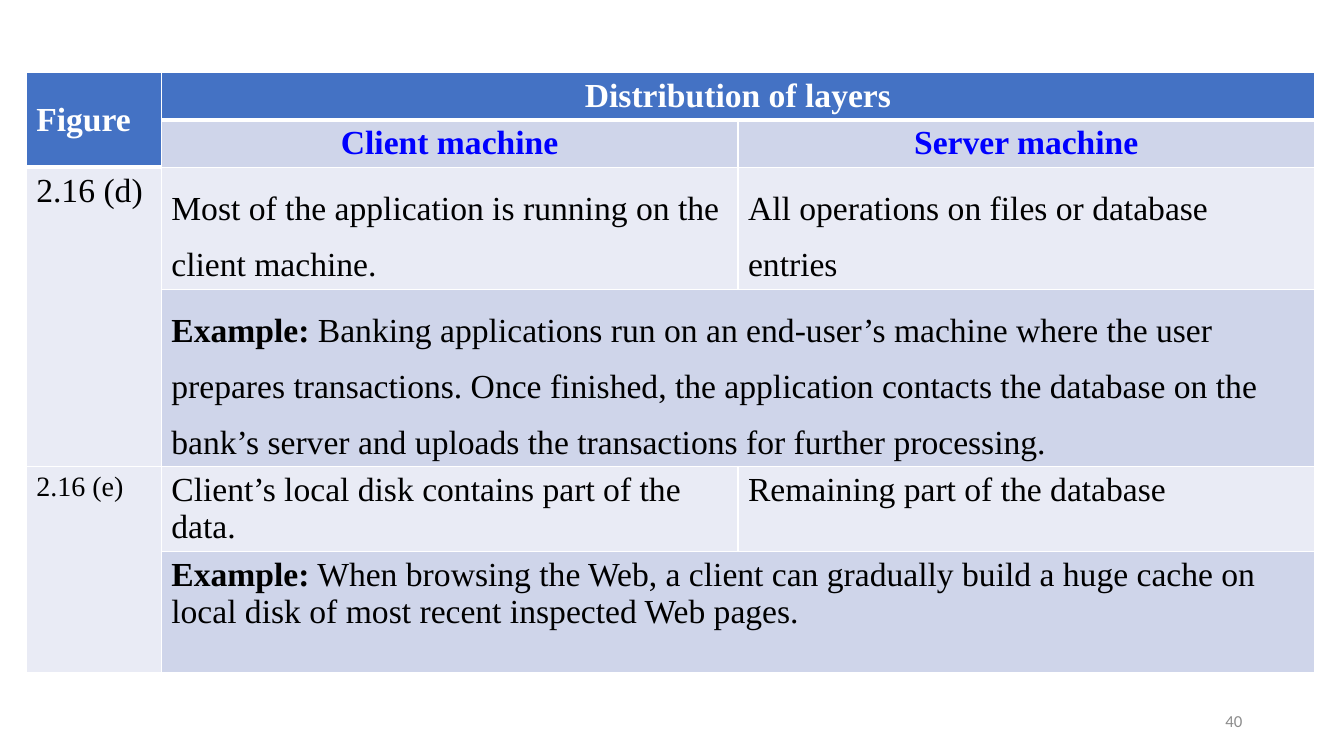
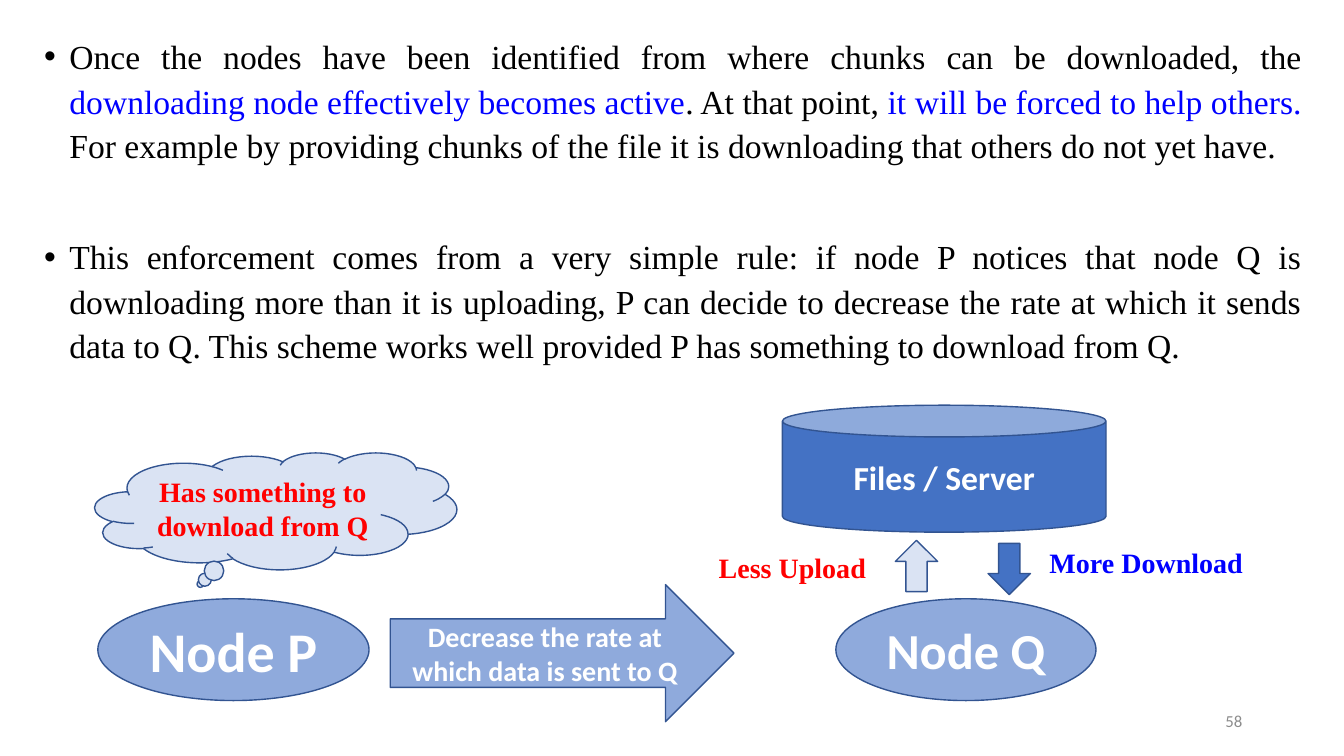
import pptx
import pptx.dml.color
import pptx.enum.shapes
import pptx.enum.text
import pptx.oxml
import pptx.oxml.ns
import pptx.util
from lxml import etree

Inches = pptx.util.Inches
Pt = pptx.util.Pt
RGBColor = pptx.dml.color.RGBColor
SHAPE = pptx.enum.shapes.MSO_SHAPE
ALIGN = pptx.enum.text.PP_ALIGN
ANCHOR = pptx.enum.text.MSO_ANCHOR

WHITE = RGBColor(0xFF, 0xFF, 0xFF)
BLACK = RGBColor(0x00, 0x00, 0x00)
RED = RGBColor(0xFF, 0x00, 0x00)
BLUE = RGBColor(0x00, 0x00, 0xFF)
GRAY = RGBColor(0x8C, 0x8C, 0x8C)
ACCENT = RGBColor(0x44, 0x72, 0xC4)
ACCENT_MID = RGBColor(0x8F, 0xAA, 0xDC)
ACCENT_PALE = RGBColor(0xDA, 0xE3, 0xF3)
OUTLINE = RGBColor(0x32, 0x54, 0x91)
BAND_DARK = RGBColor(0xCF, 0xD5, 0xEA)
BAND_LIGHT = RGBColor(0xE9, 0xEB, 0xF5)

SERIF = {"name": "Times New Roman", "size": Pt(24), "bold": False}
SERIF_BOLD = {**SERIF, "bold": True}
LABEL = {**SERIF_BOLD, "size": Pt(20)}
SANS_BOLD = {"name": "Calibri", "size": Pt(24), "bold": True}
FOOTER = {"name": "Calibri", "size": Pt(12), "bold": False}


def apply_format(target, values):
    for name, value in values.items():
        setattr(target, name, value)


def write_spans(para, spans, layout):
    apply_format(para, layout)
    for text, style, color in spans:
        span = para.add_run()
        span.text = text
        apply_format(span.font, style)
        span.font.color.rgb = color


def add_text(page, box, spans, align=ALIGN.LEFT, anchor=ANCHOR.TOP):
    frame = page.shapes.add_textbox(*map(Inches, box)).text_frame
    apply_format(frame, {"word_wrap": True, "vertical_anchor": anchor})
    write_spans(frame.paragraphs[0], spans, {"alignment": align})
    return frame


def add_page_number(page, number):
    add_text(page, (9.42, 6.95, 3, 0.4), [(str(number), FOOTER, GRAY)],
             ALIGN.RIGHT, ANCHOR.MIDDLE)


def add_node(page, kind, box, fill, spans=()):
    shape = page.shapes.add_shape(kind, *map(Inches, box))
    shape.shadow.inherit = False
    shape.fill.solid()
    shape.fill.fore_color.rgb = fill
    shape.line.color.rgb = OUTLINE
    shape.line.width = Pt(1)
    apply_format(shape.text_frame,
                 {"word_wrap": True, "vertical_anchor": ANCHOR.MIDDLE})
    write_spans(shape.text_frame.paragraphs[0], spans, {"alignment": ALIGN.CENTER})


def set_borders(cell, widths):
    properties = cell._tc.get_or_add_tcPr()
    for index, (side, width) in enumerate(widths.items()):
        line = pptx.oxml.parse_xml(
            f'<a:ln{side} xmlns:a="http://schemas.openxmlformats.org/drawingml/2006/main"'
            f' w="{Pt(width)}"><a:solidFill><a:srgbClr val="{WHITE}"/></a:solidFill></a:ln{side}>')
        properties.insert(index, line)


def add_layer_table(page, left, top):
    widths = [1.34, 5.72, 5.72]
    heights = [0.47, 0.47, 1.21, 1.75, 0.84, 1.2]
    centered = {"alignment": ALIGN.CENTER}
    spaced = {"line_spacing": 1.5}
    contents = {
        (0, 0): ([("Figure", SERIF_BOLD, WHITE)], {}),
        (0, 1): ([("Distribution of layers", SERIF_BOLD, WHITE)], centered),
        (1, 1): ([("Client machine", SERIF_BOLD, BLUE)], centered),
        (1, 2): ([("Server machine", SERIF_BOLD, BLUE)], centered),
        (2, 0): ([("2.16 (d)", SERIF, BLACK)], {}),
        (2, 1): ([("Most of the application is running on the client machine.",
                   SERIF, BLACK)], spaced),
        (2, 2): ([("All operations on files or database entries", SERIF, BLACK)], spaced),
        (3, 1): ([("Example:", SERIF_BOLD, BLACK),
                  (" Banking applications run on an end-user’s machine where the user "
                   "prepares transactions. Once finished, the application contacts the "
                   "database on the bank’s server and uploads the transactions for "
                   "further processing.", SERIF, BLACK)], spaced),
        (4, 0): ([("2.16 (e)", {**SERIF, "size": Pt(20)}, BLACK)], {}),
        (4, 1): ([("Client’s local disk contains part of the data.", SERIF, BLACK)], {}),
        (4, 2): ([("Remaining part of the database", SERIF, BLACK)], {}),
        (5, 1): ([("Example:", SERIF_BOLD, BLACK),
                  (" When browsing the Web, a client can gradually build a huge cache "
                   "on local disk of most recent inspected Web pages.", SERIF, BLACK)], {}),
    }
    header = {(0, 0), (0, 1), (0, 2), (1, 0)}
    table = page.shapes.add_table(
        len(heights), len(widths),
        *map(Inches, (left, top, sum(widths), sum(heights)))).table
    for column, width in zip(table.columns, widths):
        column.width = Inches(width)
    for row, height in zip(table.rows, heights):
        row.height = Inches(height)
    for row in range(len(heights)):
        for column in range(len(widths)):
            place = (row, column)
            cell = table.cell(*place)
            band = BAND_DARK if row % 2 and column else BAND_LIGHT
            cell.fill.solid()
            cell.fill.fore_color.rgb = ACCENT if place in header else band
            below_header = (row - 1, column) in header and place not in header
            set_borders(cell, {"L": 1, "R": 1, "T": 3 if below_header else 1,
                               "B": 3 if place in header else 1})
            if place in contents:
                write_spans(cell.text_frame.paragraphs[0], *contents[place])
    table.cell(0, 0).vertical_anchor = ANCHOR.MIDDLE
    for first in (0, 2, 4):
        table.cell(first, 0).merge(table.cell(first + 1, 0))
    for row in (0, 3, 5):
        table.cell(row, 1).merge(table.cell(row, 2))


def add_bullets(page, box, paragraphs):
    frame = add_text(page, box, [])
    for index, spans in enumerate(paragraphs):
        para = frame.add_paragraph() if index else frame.paragraphs[0]
        write_spans(para, spans, {"alignment": ALIGN.JUSTIFY, "line_spacing": 1.1,
                                  "space_before": Pt(48 if index else 0)})
        properties = para._p.get_or_add_pPr()
        properties.set("marL", str(Inches(0.25)))
        properties.set("indent", str(Inches(-0.25)))
        for tag, name, value in (("a:buFont", "typeface", "Arial"),
                                 ("a:buChar", "char", "•")):
            etree.SubElement(properties, pptx.oxml.ns.qn(tag)).set(name, value)


def add_exchange_diagram(page, left, top):
    def at(x, y, width, height):
        return left + x, top + y, width, height

    def sans(text, size):
        return [(text, {**SANS_BOLD, "size": Pt(size)}, WHITE)]

    thought = [("Has something to download from Q", LABEL, RED)]
    rate = sans("Decrease the rate at which data is sent to Q", 20)
    for kind, box, fill, spans in (
        (SHAPE.FLOWCHART_CONNECTOR, (0.03, 1.92, 2.69, 1.01), ACCENT_MID, sans("Node P", 40)),
        (SHAPE.FLOWCHART_CONNECTOR, (7.35, 1.92, 2.58, 1.01), ACCENT_MID, sans("Node Q", 36)),
        (SHAPE.CAN, (6.82, 0, 3.21, 1.26), ACCENT, sans("Files / Server", 24)),
        (SHAPE.DOWN_ARROW, (8.86, 1.37, 0.42, 0.51), ACCENT, []),
        (SHAPE.UP_ARROW, (7.94, 1.34, 0.42, 0.51), ACCENT_PALE, []),
        (SHAPE.RIGHT_ARROW, (2.93, 1.78, 3.41, 1.36), ACCENT_MID, rate),
        (SHAPE.CLOUD_CALLOUT, (0, 0.47, 3.59, 1.16), ACCENT_PALE, thought),
    ):
        add_node(page, kind, at(*box), fill, spans)
    add_text(page, at(9.37, 1.34, 2.24, 0.44), [("More Download", LABEL, BLUE)])
    add_text(page, at(6.09, 1.39, 1.73, 0.44), [("Less Upload", LABEL, RED)])


def build_table_page(page):
    add_layer_table(page, 0.26, 0.72)
    add_page_number(page, 40)


def build_exchange_page(page):
    add_bullets(page, (0.34, 0.27, 12.67, 7.04), [
        [("Once the nodes have been identified from where chunks can be downloaded, the ",
          SERIF, BLACK),
         ("downloading node effectively becomes active", SERIF, BLUE),
         (". At that point, ", SERIF, BLACK),
         ("it will be forced to help others. ", SERIF, BLUE),
         ("For example by providing chunks of the file it is downloading that others "
          "do not yet have.", SERIF, BLACK)],
        [("This enforcement comes from a very simple rule: if node P notices that node Q "
          "is downloading more than it is uploading, P can decide to decrease the rate at "
          "which it sends data to Q. This scheme works well provided P has something to "
          "download from Q.", SERIF, BLACK)],
    ])
    add_exchange_diagram(page, 0.94, 4.02)
    add_page_number(page, 58)


def main():
    deck = pptx.Presentation()
    apply_format(deck, {"slide_width": Inches(13.33), "slide_height": Inches(7.5)})
    for build in (build_table_page, build_exchange_page):
        build(deck.slides.add_slide(deck.slide_layouts[6]))
    deck.save("out.pptx")


if __name__ == "__main__":
    main()
